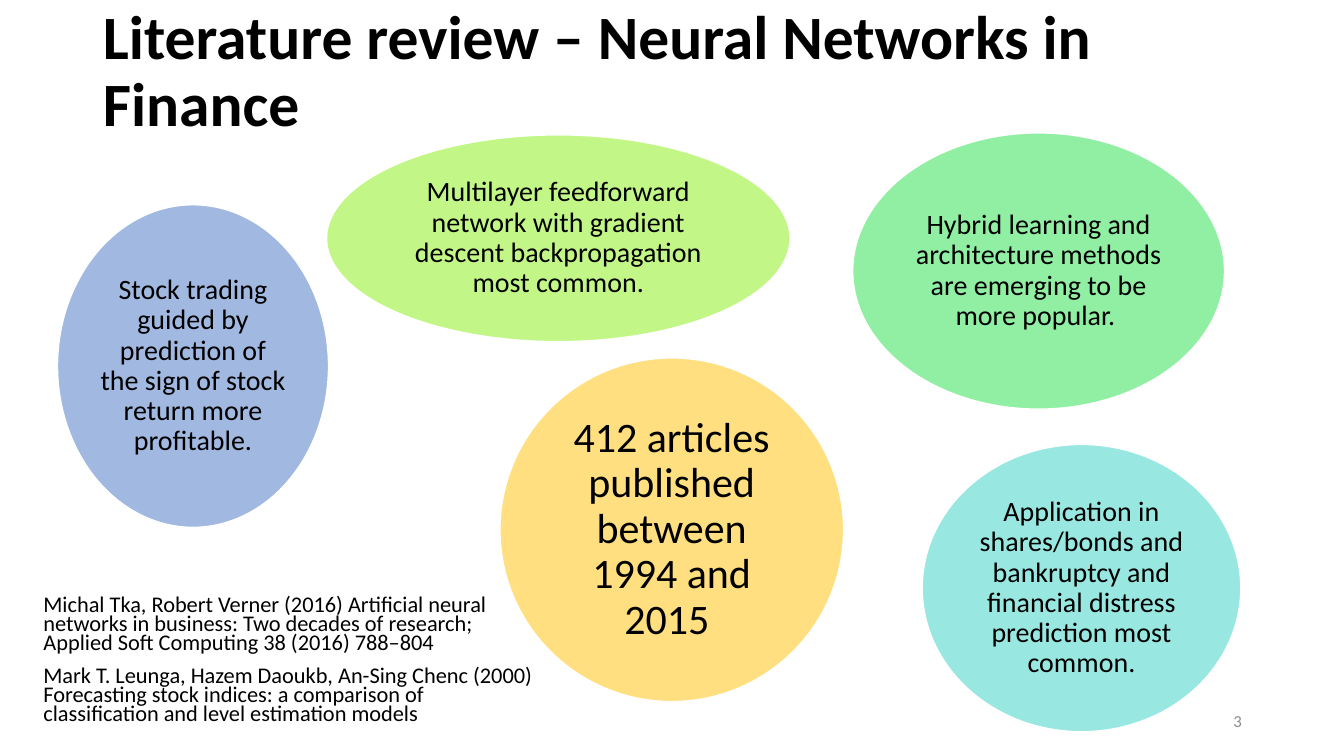
from pptx import Presentation
from pptx import util as u
from pptx.dml.color import RGBColor
from pptx.enum import shapes, text
from pptx.oxml.ns import qn
from lxml import etree

Cm, Pt = u.Cm, u.Pt
ALIGN, ANCHOR = text.PP_ALIGN, text.MSO_ANCHOR


class Theme:
    face = "Calibri"
    ink, grey, edge = "000000", "8C8C8C", "FFFFFF"
    gold, lime, green, teal, blue = (
        "FFC000", "86F011", "23E148", "33D2C5", "4472C4")
    head, hub, fact, cite, page = 44, 30, 20, 16, 12
    alpha, inset = 50, 0.08


class Deck:
    def __init__(self, theme):
        self.theme = theme
        self.prs = Presentation()
        self.prs.slide_width, self.prs.slide_height = Cm(33.87), Cm(19.05)
        self.slide = self.prs.slides.add_slide(self.prs.slide_layouts[1])

    def place(self, shape, box):
        names = ("left", "top", "width", "height")
        for name, size in zip(names, box):
            setattr(shape, name, Cm(size))

    def label(self, shape, lines, size, color=None, bold=False,
              anchor=ANCHOR.MIDDLE, **form):
        """Set one paragraph per line, each with the given format values."""
        frame = shape.text_frame
        frame.word_wrap = True
        frame.auto_size = text.MSO_AUTO_SIZE.NONE
        frame.vertical_anchor = anchor
        for i, line in enumerate(lines):
            para = frame.add_paragraph() if i else frame.paragraphs[0]
            for name, value in form.items():
                setattr(para, name, value)
            run = para.add_run()
            run.text = line
            look = {"name": self.theme.face, "size": Pt(size), "bold": bold}
            for name, value in look.items():
                setattr(run.font, name, value)
            run.font.color.rgb = RGBColor.from_string(color or self.theme.ink)
        return frame

    def title(self, line, box):
        shape = self.slide.shapes.title
        self.place(shape, box)
        self.label(shape, [line], self.theme.head, bold=True,
                   alignment=ALIGN.LEFT, line_spacing=0.9)

    def cites(self, lines, box):
        """Fill the body placeholder with sources, unbulleted and flush left."""
        shape = self.slide.placeholders[1]
        self.place(shape, box)
        frame = self.label(shape, lines, self.theme.cite, anchor=ANCHOR.TOP,
                           alignment=ALIGN.LEFT, line_spacing=0.7,
                           space_before=Pt(10))
        for level, para in enumerate(frame.paragraphs, 1):
            para.level = level
            props = para._p.get_or_add_pPr()
            props.set("marL", "0")
            props.set("indent", "0")
            etree.SubElement(props, qn("a:buNone"))

    def page(self, number, box):
        shape = self.slide.shapes.add_textbox(*map(Cm, box))
        self.label(shape, [number], self.theme.page, self.theme.grey,
                   alignment=ALIGN.RIGHT)

    def bubble(self, line, size, color, box):
        shape = self.slide.shapes.add_shape(
            shapes.MSO_SHAPE.OVAL, *map(Cm, box))
        shape.shadow.inherit = False
        shape.fill.solid()
        shape.fill.fore_color.rgb = RGBColor.from_string(color)
        tint = shape._element.spPr.find(qn("a:solidFill")).find(
            qn("a:srgbClr"))
        etree.SubElement(tint, qn("a:alpha"), val=str(self.theme.alpha * 1000))
        shape.line.color.rgb = RGBColor.from_string(self.theme.edge)
        shape.line.width = Pt(1)
        frame = self.label(shape, [line], size, alignment=ALIGN.CENTER,
                           line_spacing=0.9)
        for side in ("left", "top", "right", "bottom"):
            setattr(frame, "margin_" + side, Cm(self.theme.inset))


def main():
    t = Theme
    deck = Deck(t)
    deck.title("Literature review – Neural Networks in Finance",
               (2.34, 0, 29.21, 3.68))
    deck.cites([
        "Michal Tka, Robert Verner (2016) Artificial neural networks in "
        "business: Two decades of research; Applied Soft Computing 38 (2016) "
        "788–804",
        "Mark T. Leunga, Hazem Daoukb, An-Sing Chenc (2000) Forecasting stock "
        "indices: a comparison of classification and level estimation models",
    ], (0.84, 14.94, 13.03, 3.51))
    deck.page("3", (23.93, 17.65, 7.62, 1.02))
    bubbles = [
        ("412 articles published between 1994 and 2015 ",
         t.hub, t.gold, (12.6, 9.02, 8.66, 8.66)),
        ("Multilayer feedforward network with gradient descent "
         "backpropagation most common.",
         t.fact, t.lime, (8.23, 3.4, 11.68, 5.21)),
        ("Hybrid learning and architecture methods are emerging to be more "
         "popular. ",
         t.fact, t.green, (21.49, 3.35, 9.37, 6.96)),
        ("Application in shares/bonds and bankruptcy and financial distress "
         "prediction most common.",
         t.fact, t.teal, (23.24, 11.2, 8.03, 7.24)),
        ("Stock trading guided by prediction of the sign of stock return more "
         "profitable.",
         t.fact, t.blue, (1.45, 5.16, 6.83, 8.13)),
    ]
    for bubble in bubbles:
        deck.bubble(*bubble)
    deck.prs.save("out.pptx")


if __name__ == "__main__":
    main()
